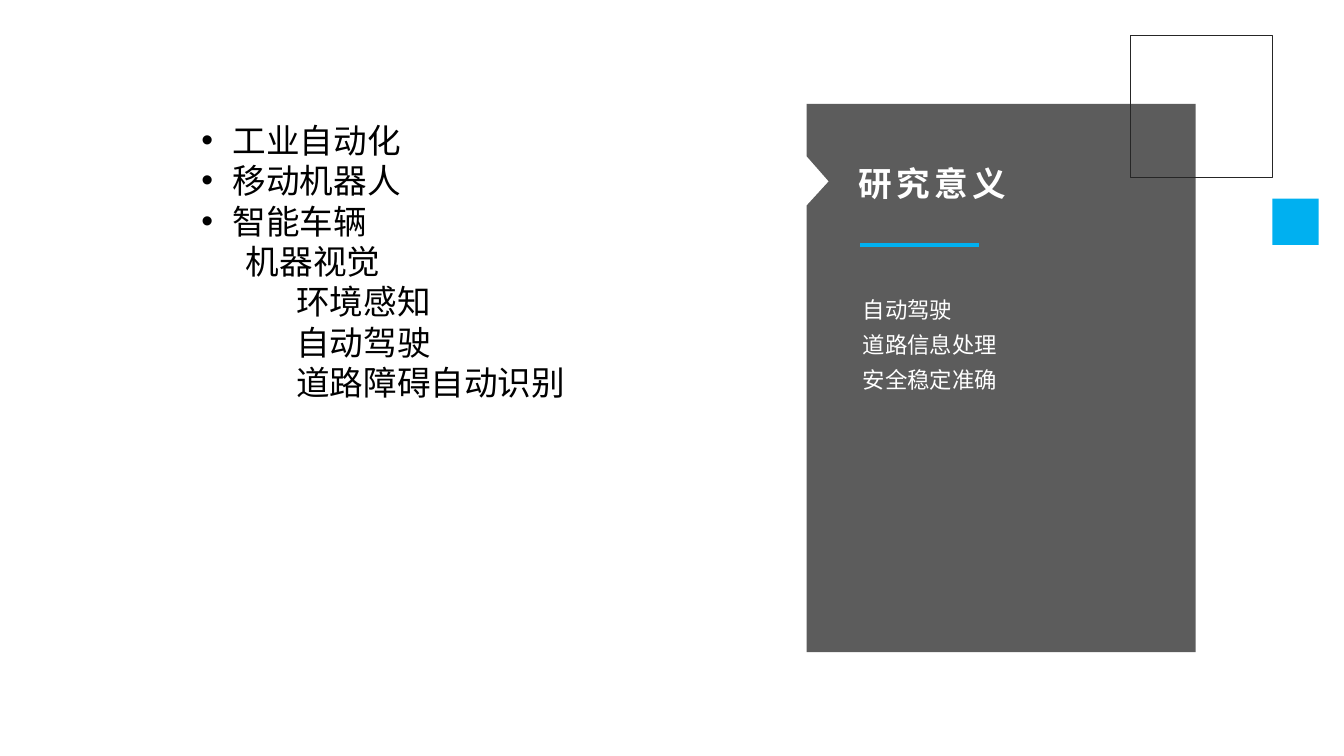
"""Build the slide on application fields and research significance."""
from dataclasses import dataclass

import pptx
import pptx.dml.color
import pptx.enum.shapes
import pptx.enum.text
import pptx.oxml.ns
import pptx.oxml.xmlchemy
import pptx.util
from pptx.util import Inches
from lxml import etree


@dataclass(frozen=True)
class Theme:
    font: str = "Noto Sans CJK SC"
    dark: str = "262626"
    accent: str = "00B0F0"
    light: str = "FFFFFF"
    ink: str = "000000"
    heading_size: int = 24
    body_size: int = 16


theme = Theme()
qn = pptx.oxml.ns.qn
rgb = pptx.dml.color.RGBColor.from_string
RECTANGLE = pptx.enum.shapes.MSO_SHAPE.RECTANGLE


def add_text(box, lines, size, color, wrap=True):
    """Add a text box with one paragraph per line and return its paragraphs."""
    frame = slide.shapes.add_textbox(*map(Inches, box)).text_frame
    frame.word_wrap = wrap
    frame.auto_size = pptx.enum.text.MSO_AUTO_SIZE.SHAPE_TO_FIT_TEXT
    frame.text = "\n".join(lines)
    for paragraph in frame.paragraphs:
        font = paragraph.runs[0].font
        font.size = pptx.util.Pt(size)
        font.color.rgb = rgb(color)
        font.name = theme.font
        etree.SubElement(paragraph.runs[0]._r.get_or_add_rPr(), qn("a:ea"), typeface=theme.font)
    return frame.paragraphs


presentation = pptx.Presentation()
presentation.slide_width = Inches(13.33)
presentation.slide_height = Inches(7.5)
slide = presentation.slides.add_slide(presentation.slide_layouts[6])
slide.background.fill.solid()
slide.background.fill.fore_color.rgb = rgb(theme.light)

corner_frame = slide.shapes.add_shape(
    RECTANGLE, Inches(11.21), Inches(0.35), Inches(1.41), Inches(1.41))
corner_frame.shadow.inherit = False
corner_frame.fill.background()
corner_frame.line.color.rgb = rgb(theme.dark)
corner_frame.line.width = pptx.util.Pt(0.75)

panel_outline = [(8, 1.03), (11.86, 1.03), (11.86, 6.47), (8, 6.47),
                 (8, 2.04), (8.22, 1.8), (8, 1.55)]
panel_points = [(Inches(x), Inches(y)) for x, y in panel_outline]
panel_builder = slide.shapes.build_freeform(*panel_points[0])
panel_builder.add_line_segments(panel_points[1:], close=True)
panel = panel_builder.convert_to_shape()
panel.shadow.inherit = False
panel.fill.solid()
panel.fill.fore_color.rgb = rgb(theme.dark)
panel.line.fill.background()
panel_color = panel._element.spPr.find(qn("a:solidFill")).find(qn("a:srgbClr"))
etree.SubElement(panel_color, qn("a:alpha"), val="75000")

accent_square = slide.shapes.add_shape(
    RECTANGLE, Inches(12.62), Inches(1.97), Inches(0.46), Inches(0.46))
accent_square.shadow.inherit = False
accent_square.fill.solid()
accent_square.fill.fore_color.rgb = rgb(theme.accent)
accent_square.line.fill.background()

heading = add_text((8.42, 1.57, 1.72, 0.5), ["研究意义"],
                   theme.heading_size, theme.light, wrap=False)[0].runs[0]
heading.font.bold = True
heading._r.get_or_add_rPr().set("spc", "300")

heading_rule = slide.shapes.add_connector(
    pptx.enum.shapes.MSO_CONNECTOR.STRAIGHT,
    Inches(8.53), Inches(2.43), Inches(9.71), Inches(2.43))
heading_rule.line.color.rgb = rgb(theme.accent)
heading_rule.line.width = pptx.util.Pt(3)
etree.SubElement(heading_rule._element.spPr, qn("a:effectLst"))

benefits = ["自动驾驶", "道路信息处理", "安全稳定准确"]
for benefit in add_text((8.46, 2.81, 2.5, 1.15), benefits, theme.body_size, theme.light):
    benefit.line_spacing = 1.3

fields = [("工业自动化", 0, 0.31, True), ("移动机器人", 0, 0.31, True),
          ("智能车辆", 0, 0.31, True), ("机器视觉", 0, 0.44, False),
          ("环境感知", 1, 0.94, False), ("自动驾驶", 1, 0.94, False),
          ("道路障碍自动识别", 1, 0.94, False)]
field_lines = add_text((1.9, 1.14, 7.5, 3.74), [field[0] for field in fields],
                       theme.heading_size, theme.ink)
for line, (_, level, margin, bulleted) in zip(field_lines, fields):
    line.level = level
    properties = line._p.get_or_add_pPr()
    properties.set("marL", str(Inches(margin)))
    properties.set("indent", str(-Inches(margin) if bulleted else 0))
    if bulleted:
        etree.SubElement(properties, qn("a:buFont"), typeface="Arial")
        etree.SubElement(properties, qn("a:buChar"), char="•")

presentation.save("out.pptx")
